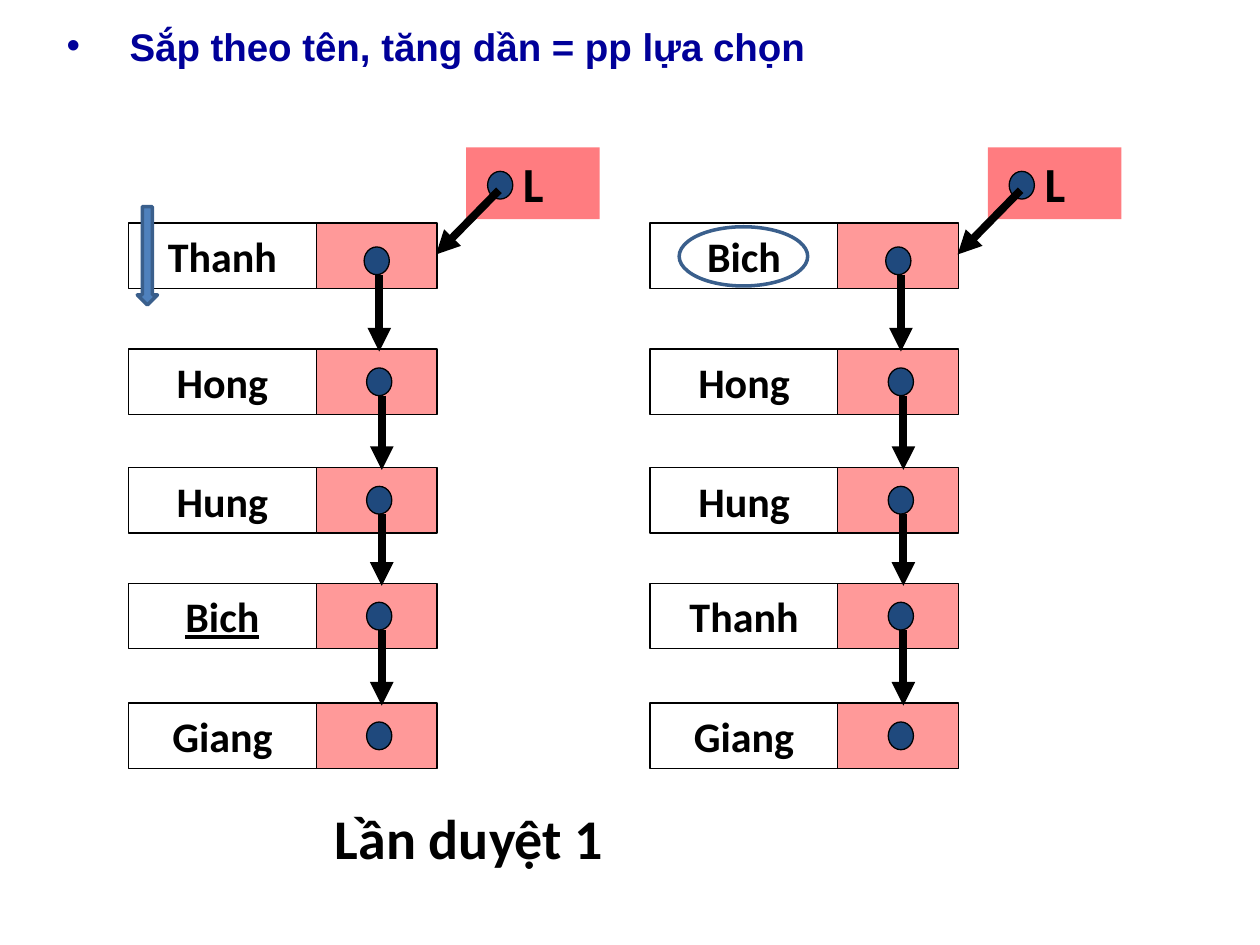
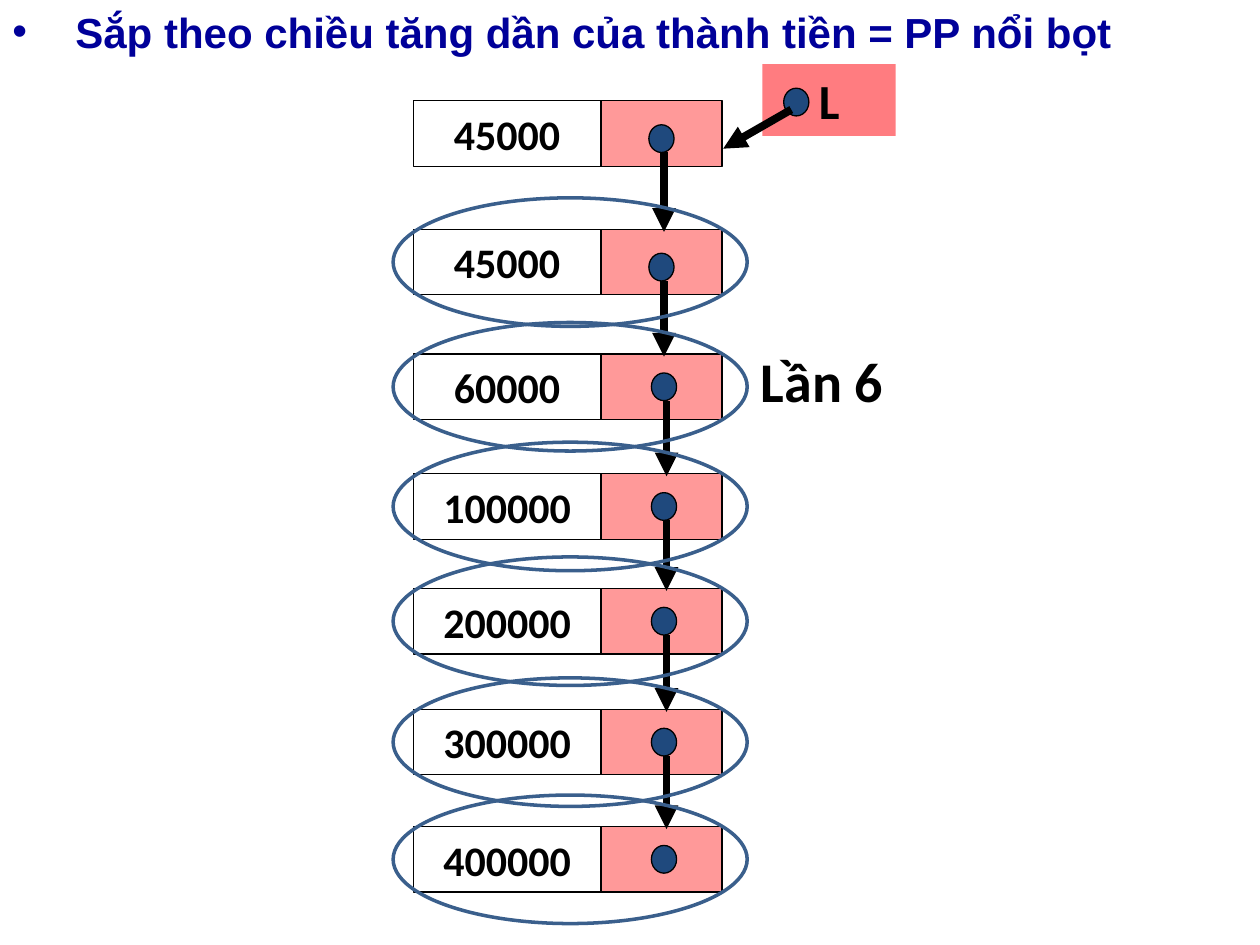
from lxml import etree
from pptx import Presentation
from pptx.dml.color import RGBColor
from pptx.enum.shapes import MSO_CONNECTOR, MSO_SHAPE
from pptx.enum.text import MSO_ANCHOR, PP_ALIGN
from pptx.oxml.ns import qn
from pptx.util import Inches, Pt

RECTANGLE, OVAL, DOWN_ARROW = MSO_SHAPE.RECTANGLE, MSO_SHAPE.OVAL, MSO_SHAPE.DOWN_ARROW
STRAIGHT = MSO_CONNECTOR.STRAIGHT
LEFT, CENTER, JUSTIFY = PP_ALIGN.LEFT, PP_ALIGN.CENTER, PP_ALIGN.JUSTIFY
TOP, MIDDLE = MSO_ANCHOR.TOP, MSO_ANCHOR.MIDDLE

BLACK, WHITE, RED = "000000", "FFFFFF", "FF0000"
TITLE_BLUE, DOT_BLUE = "000099", "1F497D"
ARROW_BLUE, OUTLINE_BLUE = "4F81BD", "3A5F8C"
HEAD_PINK = "FF7C80"

NAME_WIDTH, LINK_WIDTH, NODE_HEIGHT = 1.49, 0.96, 0.52
DOT_WIDTH, DOT_HEIGHT = 0.2, 0.22
HEAD_WIDTH, HEAD_HEIGHT = 1.06, 0.57


def color(value):
    """Turn a hex string into a colour."""
    return RGBColor.from_string(value)


def add_figure(shapes, kind, box, fill=None, line=None, line_width=0.75, opacity=None):
    """Add a flat preset shape in a left, top, width, height box."""
    shape = shapes.add_shape(kind, *map(Inches, box))
    shape.shadow.inherit = False
    if fill:
        shape.fill.solid()
        shape.fill.fore_color.rgb = color(fill)
    else:
        shape.fill.background()
    if line:
        shape.line.color.rgb = color(line)
        shape.line.width = Pt(line_width)
    else:
        shape.line.fill.background()
    if opacity:
        tint = shape._element.spPr.find(qn("a:solidFill")).find(qn("a:srgbClr"))
        etree.SubElement(tint, qn("a:alpha")).set("val", str(opacity * 1000))
    return shape


def add_arrow(shapes, start, end):
    """Add a thick black arrow between two points."""
    arrow = shapes.add_connector(STRAIGHT, *map(Inches, (*start, *end)))
    arrow.line.color.rgb = color(BLACK)
    arrow.line.width = Pt(4.5)
    etree.SubElement(arrow.line._get_or_add_ln(), qn("a:tailEnd")).set("type", "triangle")
    etree.SubElement(arrow._element.spPr, qn("a:effectLst"))


def write(shape, text, size, font="Calibri", ink=BLACK, align=LEFT, anchor=TOP, bullet=False):
    """Write one bold paragraph into a shape."""
    frame = shape.text_frame
    frame.word_wrap = True
    frame.vertical_anchor = anchor
    para = frame.paragraphs[0]
    para.text = text
    para.alignment = align
    if bullet:
        properties = para._p.get_or_add_pPr()
        properties.set("marL", str(Inches(0.5)))
        properties.set("indent", str(-Inches(0.5)))
        etree.SubElement(properties, qn("a:buFont")).set("typeface", "Arial")
        etree.SubElement(properties, qn("a:buChar")).set("char", "•")
    para.font.name = font
    para.font.size = Pt(size)
    para.font.bold = True
    para.font.color.rgb = color(ink)
    return para


def add_title(page, text, box, size):
    """Add the bulleted slide title."""
    title = page.shapes.add_textbox(*map(Inches, box))
    write(title, text, size, "Arial", TITLE_BLUE, JUSTIFY, bullet=True)


def add_label(page, text, box):
    """Add a large step label."""
    write(page.shapes.add_textbox(*map(Inches, box)), text, 32)


def add_ring(page, box):
    """Add an unfilled blue ellipse."""
    add_figure(page.shapes, OVAL, box, line=OUTLINE_BLUE, line_width=2)


def add_dot(shapes, left, top):
    """Add a pointer dot."""
    add_figure(shapes, OVAL, (left, top, DOT_WIDTH, DOT_HEIGHT), DOT_BLUE, BLACK)


def add_node(shapes, text, left, top, underlined):
    """Add a list node made of a value cell and a link cell."""
    name = add_figure(shapes, RECTANGLE, (left, top, NAME_WIDTH, NODE_HEIGHT), WHITE, BLACK, opacity=38)
    write(name, text, 24, align=CENTER, anchor=MIDDLE).font.underline = underlined or None
    link = (left + NAME_WIDTH, top, LINK_WIDTH, NODE_HEIGHT)
    add_figure(shapes, RECTANGLE, link, RED, BLACK, opacity=40)


def add_head(shapes, left, top, start, target):
    """Add the list head L with its arrow, start being relative to the head."""
    head = add_figure(shapes, RECTANGLE, (left, top, HEAD_WIDTH, HEAD_HEIGHT), HEAD_PINK)
    head.text_frame.margin_left = Inches(0.45)
    write(head, "L", 28, anchor=MIDDLE)
    add_dot(shapes, left + 0.17, top + 0.19)
    add_arrow(shapes, (left + start[0], top + start[1]), target)


def add_list(page, left, tops, names, low_dots, head, start, target, underlined=None):
    """Add a linked list; head and target are offsets from its first node."""
    shapes = page.shapes.add_group_shape().shapes
    for name, top in zip(names, tops):
        add_node(shapes, name, left, top, name == underlined)
    for index, top in enumerate(tops):
        shift_x, shift_y = (1.87, 0.19) if index < low_dots else (1.89, 0.15)
        add_dot(shapes, left + shift_x, top + shift_y)
        if index + 1 < len(tops):
            x = left + shift_x + 0.12
            add_arrow(shapes, (x, top + shift_y + DOT_HEIGHT), (x, tops[index + 1] + 0.02))
    add_head(shapes, left + head[0], tops[0] + head[1], start,
             (left + target[0], tops[0] + target[1]))


def build_selection_slide(page):
    """Show the first pass of selection sort by name."""
    add_title(page, "Sắp theo tên, tăng dần = pp lựa chọn", (0.43, 0.13, 9.21, 0.58), 22)
    layout = {"tops": [1.77, 2.77, 3.71, 4.63, 5.58], "low_dots": 1,
              "head": (2.68, -0.6), "start": (0.26, 0.34), "target": (2.44, 0.25)}
    before, after = 1.02, 5.16
    add_list(page, before, names=["Thanh", "Hong", "Hung", "Bich", "Giang"],
             underlined="Bich", **layout)
    add_label(page, "Lần duyệt 1", (2.56, 6.33, 4.45, 0.64))
    add_figure(page.shapes, DOWN_ARROW, (before + 0.07, 1.64, 0.16, 0.78),
               ARROW_BLUE, OUTLINE_BLUE, 2)
    add_list(page, after, names=["Bich", "Hong", "Hung", "Thanh", "Giang"], **layout)
    add_ring(page, (after + 0.23, 1.8, 1.02, 0.47))


def build_bubble_slide(page):
    """Show the sixth pass of bubble sort by amount."""
    add_title(page, "Sắp theo chiều tăng dần của thành tiền = PP nổi bọt", (0, 0, 9.21, 0.63), 24)
    add_label(page, "Lần 6", (5.94, 2.7, 1.23, 0.64))
    left, tops = 3.28, [0.8, 1.82, 2.81, 3.76, 4.67, 5.63, 6.56]
    amounts = ["45000", "45000", "60000", "100000", "200000", "300000", "400000"]
    add_list(page, left, tops, amounts, low_dots=2,
             head=(2.77, -0.29), start=(0.23, 0.36), target=(2.46, 0.38))
    ring_width, ring_height = 2.81, 1.02
    for top in tops[1:]:
        add_ring(page, (left - 0.16, top + (NODE_HEIGHT - ring_height) / 2, ring_width, ring_height))


def main():
    """Build and save the deck."""
    deck = Presentation()
    deck.slide_width, deck.slide_height = Inches(10), Inches(7.5)
    for build in (build_selection_slide, build_bubble_slide):
        build(deck.slides.add_slide(deck.slide_layouts[6]))
    deck.save("out.pptx")


if __name__ == "__main__":
    main()
